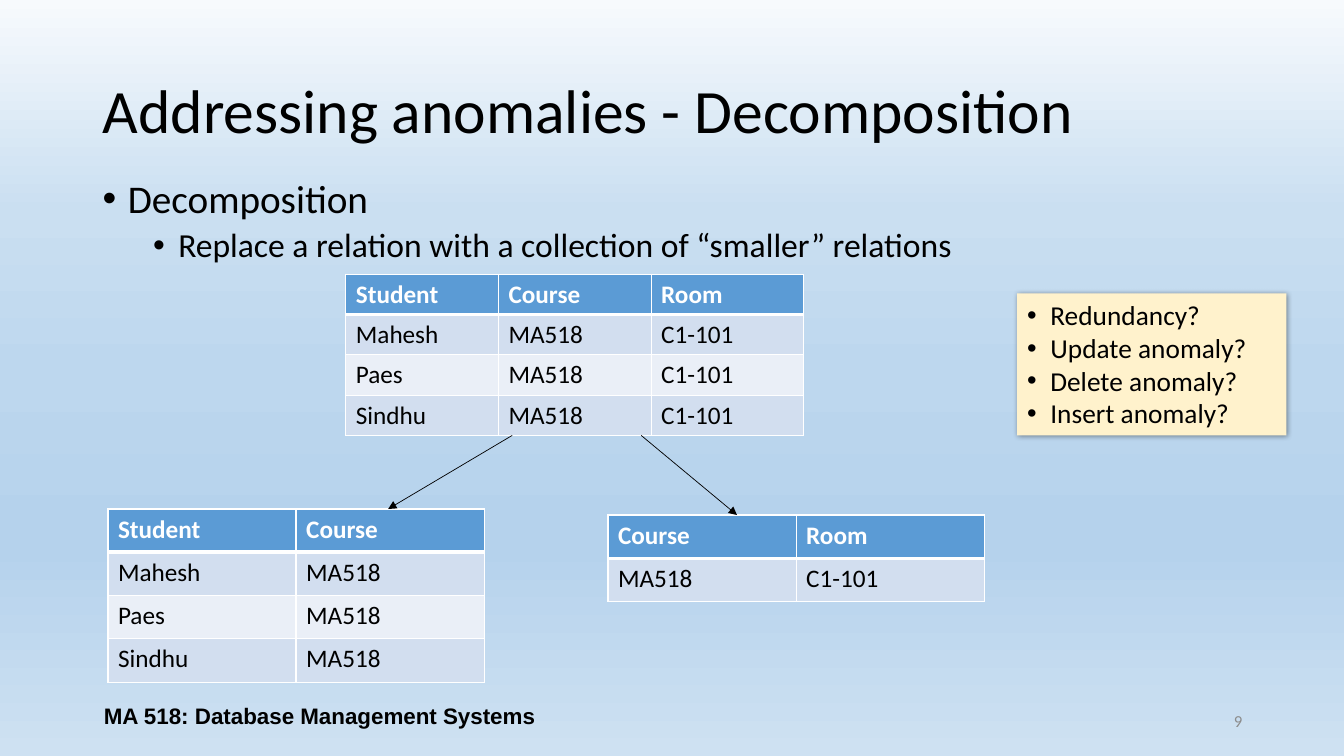
from dataclasses import dataclass

from lxml import etree
from pptx import Presentation
from pptx import util as u
from pptx.dml.color import RGBColor
from pptx.enum import shapes, text
from pptx.oxml.ns import qn

BLACK = RGBColor(0x00, 0x00, 0x00)
WHITE = RGBColor(0xFF, 0xFF, 0xFF)
GREY = RGBColor(0x8C, 0x8C, 0x8C)
CREAM = RGBColor(0xFF, 0xF2, 0xCC)
HEADER_BLUE = RGBColor(0x5B, 0x9B, 0xD5)
BANDS = (RGBColor(0xD2, 0xDE, 0xEF), RGBColor(0xEA, 0xEF, 0xF7))
SKY = (
    (0, RGBColor(0xF7, 0xFA, 0xFD)),
    (28, RGBColor(0xCA, 0xDF, 0xF1)),
    (49, RGBColor(0xBD, 0xD7, 0xEE)),
    (71, RGBColor(0xB5, 0xD2, 0xEC)),
    (72, RGBColor(0xB5, 0xD2, 0xEC)),
    (100, RGBColor(0xCE, 0xE1, 0xF2)),
)
WIDTH, HEIGHT = u.Inches(13.33), u.Inches(7.5)
GRID = 100
MARGIN, CONTENT_WIDTH = 6.9, 86.27


@dataclass(frozen=True)
class Area:
    column: float
    row: float
    columns: float
    rows: float

    def box(self) -> tuple:
        return across(self.column), down(self.row), across(self.columns), down(self.rows)


@dataclass(frozen=True)
class Relation:
    column: float
    row: float
    cell_columns: float
    cell_rows: float
    records: tuple


@dataclass(frozen=True)
class Arrow:
    start: tuple
    end: tuple


ENROLMENTS = (
    ("Student", "Course", "Room"),
    ("Mahesh", "MA518", "C1-101"),
    ("Paes", "MA518", "C1-101"),
    ("Sindhu", "MA518", "C1-101"),
)
STUDENT_COURSES = tuple(record[:2] for record in ENROLMENTS)
COURSE_ROOMS = tuple(record[1:] for record in ENROLMENTS[:2])
RELATIONS = (
    Relation(8.03, 67.33, 14, 5.73, STUDENT_COURSES),
    Relation(45.24, 68.13, 14, 5.73, COURSE_ROOMS),
    Relation(25.73, 36.27, 11.36, 5.33, ENROLMENTS),
)
ARROWS = (
    Arrow((38.11, 57.6), (28.88, 67.33)),
    Arrow((47.71, 57.6), (54.84, 68.13)),
)
QUESTIONS = ("Redundancy?", "Update anomaly?", "Delete anomaly?", "Insert anomaly?")


def across(columns: float) -> int:
    return round(WIDTH * columns / GRID)


def down(rows: float) -> int:
    return round(HEIGHT * rows / GRID)


def add_element(parent, tag: str, **attributes):
    return etree.SubElement(parent, qn(tag), {key: str(value) for key, value in attributes.items()})


def add_color(parent, color: RGBColor):
    return add_element(parent, "a:srgbClr", val=color)


def write(frame, words: str, *, size: float, font: str = "Calibri", color: RGBColor = BLACK,
          bold: bool = False, align=text.PP_ALIGN.LEFT, spacing: float = 1, before: float = 0,
          indent: float = 0, hanging: float = 0) -> None:
    paragraph = frame.paragraphs[0]
    if paragraph.text:
        paragraph = frame.add_paragraph()
    if hanging:
        properties = paragraph._p.get_or_add_pPr()
        properties.set("marL", str(u.Inches(indent)))
        properties.set("indent", str(-u.Inches(hanging)))
        add_element(properties, "a:buFont", typeface="Arial")
        add_element(properties, "a:buChar", char="•")
    paragraph.alignment = align
    paragraph.line_spacing = spacing
    paragraph.space_before = u.Pt(before)
    run = paragraph.add_run()
    run.text = words
    run.font.name, run.font.size, run.font.bold = font, u.Pt(size), bold
    run.font.color.rgb = color


def add_text_area(slide, area: Area, anchor=text.MSO_ANCHOR.TOP):
    frame = slide.shapes.add_textbox(*area.box()).text_frame
    frame.word_wrap = True
    frame.vertical_anchor = anchor
    return frame


def paint_sky(slide) -> None:
    fill = slide.background.fill
    fill.gradient()
    fill.gradient_angle = 270
    stops = slide.background._cSld.find(".//" + qn("a:gsLst"))
    for stop in list(stops):
        stops.remove(stop)
    for percent, color in SKY:
        add_color(add_element(stops, "a:gs", pos=percent * 1000), color)


def add_border(cell, side: str, points: float) -> None:
    line = add_element(cell._tc.get_or_add_tcPr(), f"a:ln{side}", w=u.Pt(points))
    add_color(add_element(line, "a:solidFill"), WHITE)


def add_relation(slide, relation: Relation) -> None:
    height, width = len(relation.records), len(relation.records[0])
    area = Area(relation.column, relation.row, relation.cell_columns * width, relation.cell_rows * height)
    table = slide.shapes.add_table(height, width, *area.box()).table
    for column in table.columns:
        column.width = across(relation.cell_columns)
    for index, record in enumerate(relation.records):
        table.rows[index].height = down(relation.cell_rows)
        header = index == 0
        for position, value in enumerate(record):
            cell = table.cell(index, position)
            for side, points in (("L", 1), ("R", 1), ("T", 3 if index == 1 else 1), ("B", 3 if header else 1)):
                add_border(cell, side, points)
            cell.fill.solid()
            cell.fill.fore_color.rgb = HEADER_BLUE if header else BANDS[(index - 1) % 2]
            write(cell.text_frame, value, size=18, bold=header, color=WHITE if header else BLACK)


def add_questions(slide, area: Area) -> None:
    note = slide.shapes.add_shape(shapes.MSO_SHAPE.RECTANGLE, *area.box())
    note.fill.solid()
    note.fill.fore_color.rgb = CREAM
    note.line.fill.background()
    note.shadow.inherit = False
    effects = note._element.spPr.find(qn("a:effectLst"))
    shadow = add_element(effects, "a:outerShdw", blurRad=u.Pt(4), dist=u.Pt(1), dir=45 * 60000,
                         algn="tl", rotWithShape=0)
    add_element(add_color(shadow, BLACK), "a:alpha", val=40000)
    frame = note.text_frame
    frame.word_wrap = True
    frame.vertical_anchor = text.MSO_ANCHOR.TOP
    frame.auto_size = text.MSO_AUTO_SIZE.SHAPE_TO_FIT_TEXT
    for question in QUESTIONS:
        write(frame, question, size=19.5, indent=0.23, hanging=0.23)


def add_arrow(slide, arrow: Arrow) -> None:
    ends = [measure(share) for point in (arrow.start, arrow.end) for measure, share in zip((across, down), point)]
    connector = slide.shapes.add_connector(shapes.MSO_CONNECTOR.STRAIGHT, *ends)
    connector.line.color.rgb = BLACK
    connector.line.width = u.Pt(0.5)
    properties = connector._element.spPr
    add_element(properties.find(qn("a:ln")), "a:tailEnd", type="triangle")
    add_element(properties, "a:effectLst")


def main() -> None:
    deck = Presentation()
    deck.slide_width, deck.slide_height = WIDTH, HEIGHT
    slide = deck.slides.add_slide(deck.slide_layouts[5])
    paint_sky(slide)

    title = slide.shapes.title
    title.left, title.top, title.width, title.height = Area(MARGIN, 5.33, CONTENT_WIDTH, 19.33).box()
    title.text_frame.auto_size = text.MSO_AUTO_SIZE.NONE
    title.text_frame.vertical_anchor = text.MSO_ANCHOR.MIDDLE
    write(title.text_frame, "Addressing anomalies - Decomposition", size=44, spacing=0.9)

    definition = add_text_area(slide, Area(MARGIN, 23.07, CONTENT_WIDTH, 26.4))
    write(definition, "Decomposition", size=28, spacing=0.9, indent=0.25, hanging=0.25)
    write(definition, "Replace a relation with a collection of “smaller” relations", size=24,
          spacing=0.9, before=5, indent=0.75, hanging=0.25)

    page = add_text_area(slide, Area(70.67, 92.67, 22.5, 5.33), text.MSO_ANCHOR.MIDDLE)
    write(page, "9", size=12, color=GREY, align=text.PP_ALIGN.RIGHT)
    course = add_text_area(slide, Area(MARGIN, 92, 33.76, 5.33), text.MSO_ANCHOR.MIDDLE)
    write(course, "MA 518: Database Management Systems", size=16, font="Arial", bold=True,
          align=text.PP_ALIGN.CENTER)

    for relation in RELATIONS:
        add_relation(slide, relation)
    add_questions(slide, Area(75.69, 38.8, 20.03, 18.8))
    for arrow in ARROWS:
        add_arrow(slide, arrow)
    deck.save("out.pptx")


if __name__ == "__main__":
    main()
